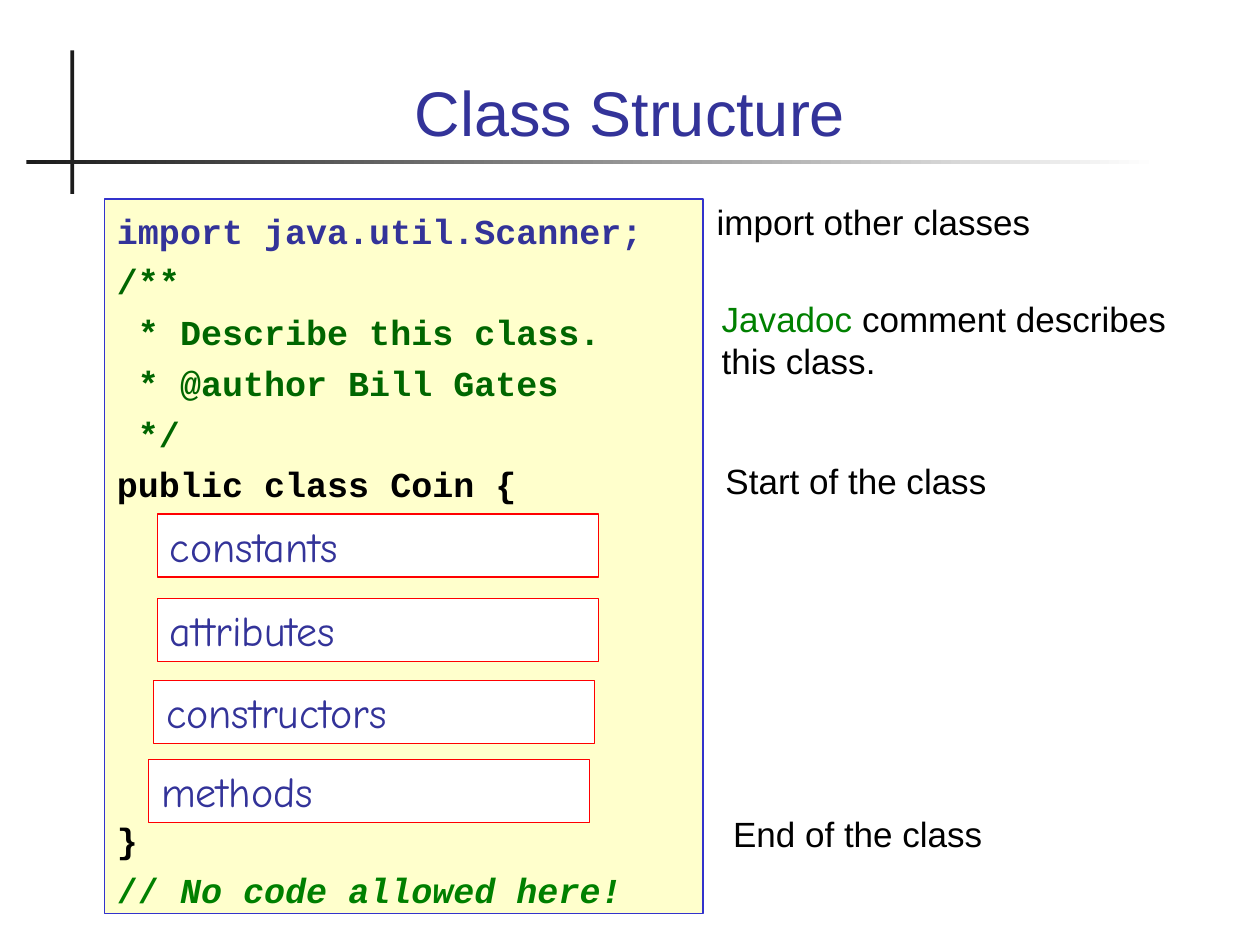
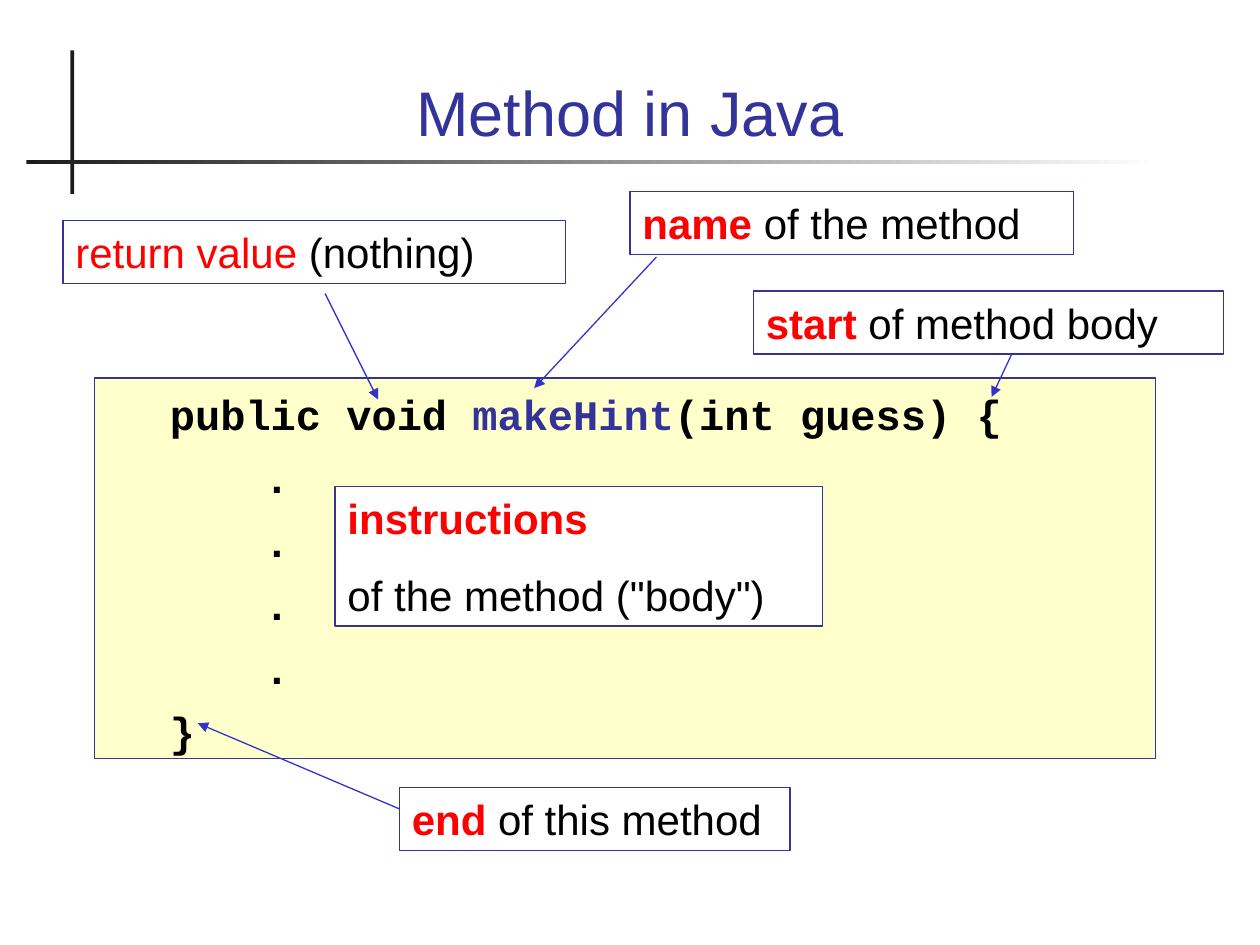
from dataclasses import dataclass
from lxml import etree
from pptx import Presentation
from pptx import util as u
from pptx.dml.color import RGBColor
from pptx.enum import shapes, text
from pptx.oxml.ns import qn


@dataclass(frozen=True)
class Theme:
    navy: str = "333399"
    blue: str = "3333CC"
    red: str = "FF0000"
    green: str = "008000"
    dark_green: str = "006600"
    black: str = "000000"
    rule: str = "1C1C1C"
    white: str = "FFFFFF"
    cream: str = "FFFFCC"
    body_font: str = "Arial"
    code_font: str = "Courier New"
    hand_font: str = "Comic Neue"
    title_size: int = 36
    large: int = 24
    small: int = 20
    leading: float = 1.2
    line_width: float = 0.75


T = Theme()
BOLD = {"bold": True}
KEY = {"color": T.red, "bold": True}
DOC = {"color": T.dark_green}

TITLE_AREA = (0.67, 0.28, 8.66, 0.95)
VERTICAL_RULE = (0.56, 0.4, 0.03, 1.14)
HORIZONTAL_RULE = (0.21, 1.27, 8.99, 0.03)

STRUCTURE_TITLE = "Class Structure"
CLASS_AREA = (0.83, 1.58, 4.75, 5.67)
SECTION_LINES = 6
CLASS_CODE = [
    [("import java.util.Scanner;", {"color": T.navy})],
    [("/**", DOC)],
    [(" * Describe this class.", DOC)],
    [(" * @author Bill Gates", DOC)],
    [(" */", DOC)],
    [("public class Coin {", {})],
    [("}", {})],
    [("// ", {"color": T.green}),
     ("No code allowed here!", {"color": T.green, "italic": True})],
]
SECTION_SIZE = (3.5, 0.5)
SECTIONS = [
    ("constants", 1.25, 4.08),
    ("attributes", 1.25, 4.75),
    ("constructors", 1.22, 5.4),
    ("methods", 1.18, 6.03),
]
NOTES = [
    ([("import other classes", {})], (5.59, 1.54, 3.5, 0.44)),
    ([("Javadoc", {"color": T.green}), (" comment describes this class.", {})],
     (5.63, 2.31, 4.16, 0.77)),
    ([("Start of the class", {})], (5.66, 3.6, 3.5, 0.44)),
    ([("End of the class", {})], (5.72, 6.4, 3.5, 0.44)),
]

METHOD_TITLE = "Method in Java"
METHOD_AREA = (0.75, 3, 8.42, 3.02)
BRACE_INDENT, BODY_INDENT = 0.5, 1.25
METHOD_CODE = [
    [("public void ", {}), ("makeHint", {"color": T.navy}), ("(int guess) {", {})],
    *[[(".", {})]] * 4,
    [("}", {})],
]
METHOD_INDENTS = [BRACE_INDENT] + [BODY_INDENT] * 4 + [BRACE_INDENT]
BODY_LABEL = [[("instructions", KEY)], [('of the method ("body")', {})]]
BODY_AREA = (2.66, 3.86, 3.87, 1.11)
CALLOUTS = [
    ([("name", KEY), (" of the method", {})],
     (5, 1.52, 3.52, 0.5), (5.21, 2.04, 4.24, 3.08)),
    ([("return value", {"color": T.red}), (" (nothing)", {})],
     (0.5, 1.75, 3.99, 0.5), (2.58, 2.33, 3, 3.17)),
    ([("end", KEY), (" of this method", {})],
     (3.17, 6.25, 3.1, 0.5), (3.17, 6.42, 1.57, 5.74)),
    ([("start", KEY), (" of method body", {})],
     (5.98, 2.31, 3.73, 0.5), (8.03, 2.81, 7.87, 3.15)),
]


def rgb(color):
    return RGBColor.from_string(color)


def inches(values):
    return [u.Inches(value) for value in values]


def write(frame, paragraphs, size=T.small, font=T.body_font, color=T.black, bold=False,
          align=text.PP_ALIGN.LEFT, anchor=text.MSO_ANCHOR.TOP, leading=T.leading,
          gaps=(), indents=(), top=0.05):
    frame.word_wrap = True
    frame.auto_size = text.MSO_AUTO_SIZE.NONE
    frame.vertical_anchor = anchor
    frame.margin_left = frame.margin_right = u.Inches(0.1)
    frame.margin_top, frame.margin_bottom = inches((top, 0.05))
    for index, runs in enumerate(paragraphs):
        paragraph = frame.paragraphs[0] if index == 0 else frame.add_paragraph()
        paragraph.alignment = align
        if leading:
            paragraph.line_spacing = u.Pt(size * leading)
        if index and gaps:
            paragraph.space_before = u.Pt(gaps[index])
        if indents:
            properties = paragraph._p.get_or_add_pPr()
            properties.set("marL", str(u.Inches(indents[index])))
            properties.set("indent", "0")
        for words, style in runs:
            run = paragraph.add_run()
            run.text = words
            run.font.name = font
            run.font.size = u.Pt(size)
            run.font.bold = style.get("bold", bold)
            run.font.italic = style.get("italic", False)
            run.font.color.rgb = rgb(style.get("color", color))


def add_panel(slide, area, fill=None, line=None):
    panel = slide.shapes.add_shape(shapes.MSO_SHAPE.RECTANGLE, *inches(area))
    panel.shadow.inherit = False
    if fill:
        panel.fill.solid()
        panel.fill.fore_color.rgb = rgb(fill)
    else:
        panel.fill.background()
    if line:
        panel.line.color.rgb = rgb(line)
        panel.line.width = u.Pt(T.line_width)
    else:
        panel.line.fill.background()
    return panel


def add_arrow(slide, ends):
    arrow = slide.shapes.add_connector(shapes.MSO_CONNECTOR.STRAIGHT, *inches(ends))
    arrow.line.color.rgb = rgb(T.blue)
    arrow.line.width = u.Pt(T.line_width)
    etree.SubElement(arrow.line._get_or_add_ln(), qn("a:tailEnd"), type="triangle")
    etree.SubElement(arrow.element.spPr, qn("a:effectLst"))


def add_slide(deck, layout, title):
    slide = deck.slides.add_slide(layout)
    write(slide.shapes.title.text_frame, [[(title, {})]], size=T.title_size,
          color=T.navy, align=text.PP_ALIGN.CENTER, anchor=text.MSO_ANCHOR.BOTTOM,
          leading=None)
    heading = slide.shapes.title
    heading.left, heading.top, heading.width, heading.height = inches(TITLE_AREA)
    return slide


def move_rules_to_layout(slide, layout):
    vertical = add_panel(slide, VERTICAL_RULE, T.rule)
    horizontal = add_panel(slide, HORIZONTAL_RULE, T.rule)
    horizontal.fill.gradient()
    horizontal.fill.gradient_angle = 0
    for stop, color in zip(horizontal.fill.gradient_stops, (T.rule, T.white)):
        stop.color.rgb = rgb(color)
    for rule in (vertical, horizontal):
        layout.shapes.element.append(rule.element)


def build_structure(slide):
    gap = 5
    gaps = [gap] * len(CLASS_CODE)
    gaps[CLASS_CODE.index([("}", {})])] += SECTION_LINES * (T.small * T.leading + gap)
    listing = add_panel(slide, CLASS_AREA, T.cream, T.blue)
    write(listing.text_frame, CLASS_CODE, font=T.code_font, bold=True, gaps=gaps, top=0.08)
    for name, left, top in SECTIONS:
        section = add_panel(slide, (left, top, *SECTION_SIZE), T.white, T.red)
        write(section.text_frame, [[(name, {})]], size=T.large, font=T.hand_font,
              color=T.navy)
    for note, area in NOTES:
        write(slide.shapes.add_textbox(*inches(area)).text_frame, [note])


def build_method(slide):
    listing = add_panel(slide, METHOD_AREA, T.cream, T.navy)
    write(listing.text_frame, METHOD_CODE, size=T.large, font=T.code_font, bold=True,
          gaps=[7.5] * len(METHOD_CODE), indents=METHOD_INDENTS, top=0.08)
    body = add_panel(slide, BODY_AREA, T.white, T.navy)
    write(body.text_frame, BODY_LABEL, size=T.large, gaps=[15] * len(BODY_LABEL))
    for label, area, ends in CALLOUTS:
        callout = add_panel(slide, area, line=T.navy)
        write(callout.text_frame, [label], size=T.large)
        add_arrow(slide, ends)


def main():
    deck = Presentation()
    deck.slide_width, deck.slide_height = inches((10, 7.5))
    layout = deck.slide_layouts.get_by_name("Title Only")
    structure = add_slide(deck, layout, STRUCTURE_TITLE)
    move_rules_to_layout(structure, layout)
    build_structure(structure)
    build_method(add_slide(deck, layout, METHOD_TITLE))
    deck.save("out.pptx")


if __name__ == "__main__":
    main()
